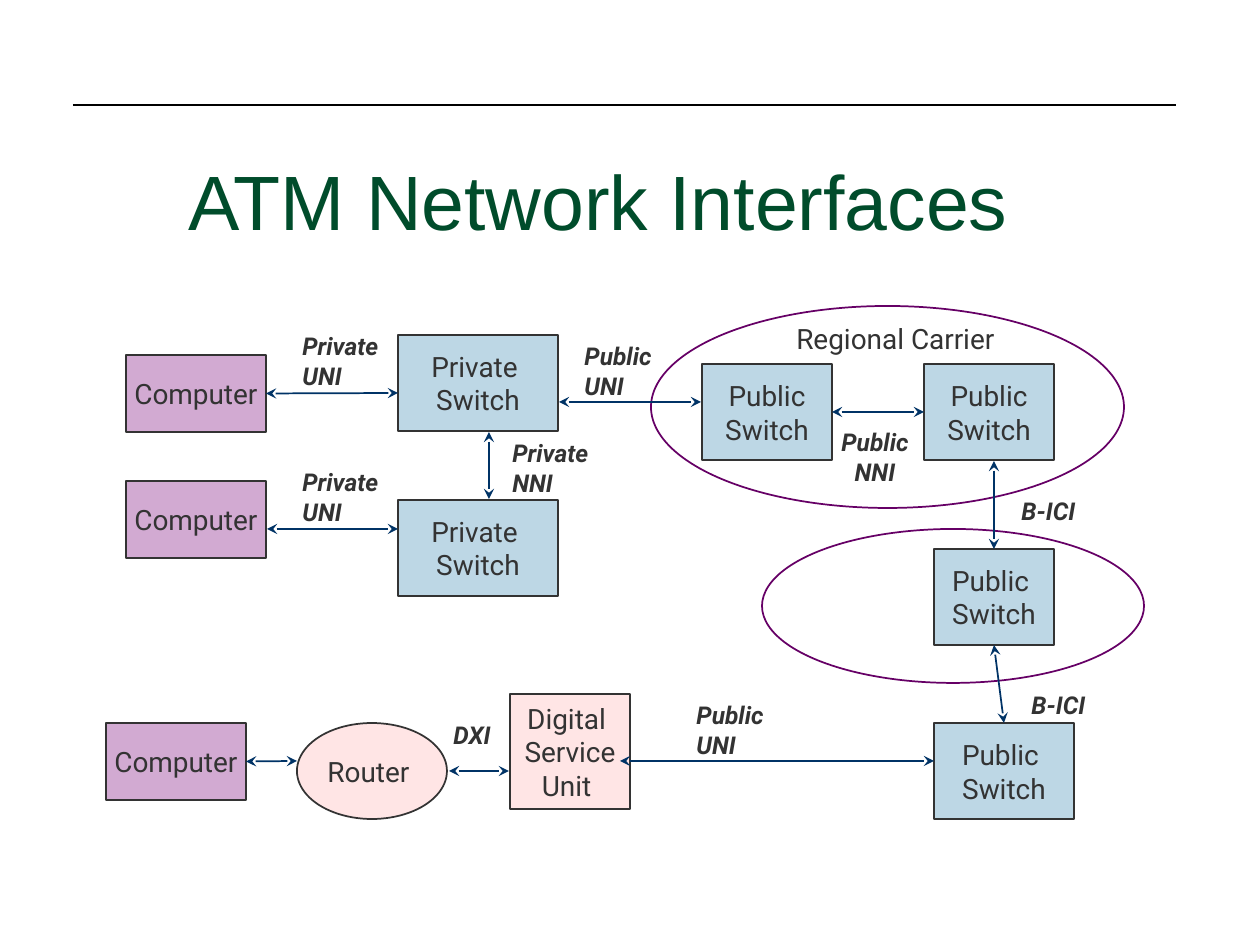
import dataclasses

import lxml.etree
import pptx
import pptx.dml.color
import pptx.enum.shapes
import pptx.enum.text
import pptx.oxml.ns
import pptx.util

EMU_PER_PX = 914400 / 126
SHAPE = pptx.enum.shapes.MSO_SHAPE
ALIGN = pptx.enum.text.PP_ALIGN
ANCHOR = pptx.enum.text.MSO_ANCHOR
AUTO_SIZE = pptx.enum.text.MSO_AUTO_SIZE
TOP, LEFT, BOTTOM, RIGHT = range(4)


@dataclasses.dataclass(frozen=True)
class Theme:
    """Colours, line widths and type formats of the slide."""

    title_color: str = "004C2B"
    text_color: str = "333333"
    computer: str = "D2AAD2"
    switch: str = "BDD7E5"
    access: str = "FFCCCC"
    access_opacity: int = 50
    carrier: str = "660066"
    link: str = "003366"
    rule: str = "000000"
    rule_width: float = 0.75
    line_width: float = 1
    title_font = {"name": "Arial", "size": pptx.util.Pt(44)}
    node_font = {"name": "Roboto", "size": pptx.util.Pt(16)}
    label_font = {"name": "Roboto", "size": pptx.util.Pt(14), "bold": True, "italic": True}


THEME = Theme()

NODES = {
    "computer_a": ("Computer", (126, 355, 140, 77), THEME.computer),
    "computer_b": ("Computer", (126, 481, 140, 77), THEME.computer),
    "computer_c": ("Computer", (106, 723, 140, 77), THEME.computer),
    "private_a": ("Private \nSwitch", (398, 335, 160, 96), THEME.switch),
    "private_b": ("Private \nSwitch", (398, 500, 160, 96), THEME.switch),
    "public_a": ("Public\nSwitch", (702, 364, 130, 96), THEME.switch),
    "public_c": ("Public \nSwitch", (934, 549, 120, 96), THEME.switch),
    "public_d": ("Public \nSwitch", (934, 723, 140, 96), THEME.switch),
    "service_unit": ("Digital \nService\nUnit ", (510, 694, 120, 115), THEME.access),
    "router": ("Router ", (297, 723, 150, 96), THEME.access),
    "public_b": ("Public\nSwitch", (924, 364, 130, 96), THEME.switch),
}

CARRIERS = [(651, 306, 473, 202), (762, 529, 382, 154)]

LINKS = [
    ((267, 393), (398, 393), ("computer_a", RIGHT), None),
    ((559, 402), (701, 402), None, None),
    ((832, 412), (924, 412), ("public_a", RIGHT), ("public_b", LEFT)),
    ((267, 529), (398, 529), None, None),
    ((620, 761), (934, 761), None, None),
    ((449, 771), (509, 771), None, None),
    ((247, 761), (297, 761), ("computer_c", RIGHT), None),
    ((489, 432), (489, 499), None, None),
    ((994, 461), (994, 549), None, ("public_c", TOP)),
    ((1004, 645), (1004, 723), ("public_c", BOTTOM), ("public_d", TOP)),
]

LABELS = [
    ("Private\nUNI", (290, 325, 115, 71), ALIGN.LEFT),
    ("Private\nUNI", (290, 461, 115, 71), ALIGN.LEFT),
    ("Public\nUNI", (572, 335, 96, 71), ALIGN.LEFT),
    ("Private\nNNI", (500, 432, 115, 71), ALIGN.LEFT),
    ("Public\nUNI", (684, 694, 96, 71), ALIGN.LEFT),
    ("DXI", (441, 714, 66, 42), ALIGN.LEFT),
    ("B-ICI", (1009, 490, 82, 42), ALIGN.LEFT),
    ("B-ICI", (1019, 684, 82, 42), ALIGN.LEFT),
    ("Public\nNNI", (827, 421, 96, 71), ALIGN.CENTER),
]


def px(*lengths):
    """Turn pixel lengths into EMU."""
    return [round(length * EMU_PER_PX) for length in lengths]


def rgb(color):
    """Return the colour object of a hex string."""
    return pptx.dml.color.RGBColor.from_string(color)


def apply(target, formats):
    """Set every attribute of a format dict on the target."""
    for attribute, value in formats.items():
        setattr(target, attribute, value)


def write(shape, text, font, color, align, frame_format):
    """Write one paragraph for each line of text into a shape."""
    frame = shape.text_frame
    apply(frame, frame_format)
    for index, line in enumerate(text.split("\n")):
        paragraph = frame.add_paragraph() if index else frame.paragraphs[0]
        paragraph.alignment = align
        run = paragraph.add_run()
        run.text = line
        apply(run.font, font)
        run.font.color.rgb = rgb(color)


def set_line(line, color, width):
    """Give a line its colour and width."""
    line.color.rgb = rgb(color)
    line.width = pptx.util.Pt(width)


def add_outline(shapes, preset, box, color):
    """Add an unfilled preset shape."""
    shape = shapes.add_shape(preset, *px(*box))
    shape.shadow.inherit = False
    shape.fill.background()
    set_line(shape.line, color, THEME.line_width)
    return shape


def add_node(shapes, text, box, fill, preset):
    """Add a filled network node with centred text."""
    node = add_outline(shapes, preset, box, THEME.text_color)
    node.fill.solid()
    node.fill.fore_color.rgb = rgb(fill)
    if fill == THEME.access:
        color = node.fill._xPr.find(".//" + pptx.oxml.ns.qn("a:srgbClr"))
        alpha = lxml.etree.SubElement(color, pptx.oxml.ns.qn("a:alpha"))
        alpha.set("val", str(THEME.access_opacity * 1000))
    write(node, text, THEME.node_font, THEME.text_color, ALIGN.CENTER,
          {"word_wrap": False, "vertical_anchor": ANCHOR.MIDDLE})
    return node


def add_line(shapes, start, end, color, width, arrows=False):
    """Add a straight line, with arrowheads at both ends if asked."""
    line = shapes.add_connector(pptx.enum.shapes.MSO_CONNECTOR.STRAIGHT, *px(*start, *end))
    set_line(line.line, color, width)
    if arrows:
        for tag in ("a:headEnd", "a:tailEnd"):
            head = lxml.etree.SubElement(line.line._ln, pptx.oxml.ns.qn(tag))
            head.set("type", "stealth")
    lxml.etree.SubElement(line._element.spPr, pptx.oxml.ns.qn("a:effectLst"))
    return line


def add_link(shapes, nodes, start, end, source, target):
    """Add a two-way link and join it to the nodes it meets."""
    link = add_line(shapes, start, end, THEME.link, THEME.line_width, arrows=True)
    for connect, joint in ((link.begin_connect, source), (link.end_connect, target)):
        if joint:
            name, side = joint
            connect(nodes[name], side)


def add_label(shapes, text, box, align, font):
    """Add an unwrapped label that grows with its text."""
    label = shapes.add_textbox(*px(*box))
    write(label, text, font, THEME.text_color, align,
          {"word_wrap": False, "auto_size": AUTO_SIZE.SHAPE_TO_FIT_TEXT})


def add_title(shapes, text, box):
    """Add the slide title."""
    title = shapes.add_textbox(*px(*box))
    write(title, text, THEME.title_font, THEME.title_color, ALIGN.CENTER,
          {"word_wrap": True, "vertical_anchor": ANCHOR.BOTTOM})


def main():
    """Build the slide and save it."""
    deck = pptx.Presentation()
    deck.slide_width, deck.slide_height = px(1260, 945)
    slide = deck.slides.add_slide(deck.slide_layouts[6])
    add_line(slide.shapes, (73, 105), (1176, 105), THEME.rule, THEME.rule_width)
    add_title(slide.shapes, "ATM Network Interfaces", (63, 174, 1071, 78))
    diagram = slide.shapes.add_group_shape().shapes
    nodes = {}
    for name, (text, box, fill) in NODES.items():
        preset = SHAPE.OVAL if name == "router" else SHAPE.RECTANGLE
        nodes[name] = add_node(diagram, text, box, fill, preset)
    for box in CARRIERS:
        add_outline(diagram, SHAPE.OVAL, box, THEME.carrier)
    for link in LINKS:
        add_link(diagram, nodes, *link)
    for label in LABELS:
        add_label(diagram, *label, THEME.label_font)
    add_label(diagram, "Regional Carrier", (784, 315, 238, 45), ALIGN.LEFT, THEME.node_font)
    deck.save("out.pptx")


if __name__ == "__main__":
    main()
